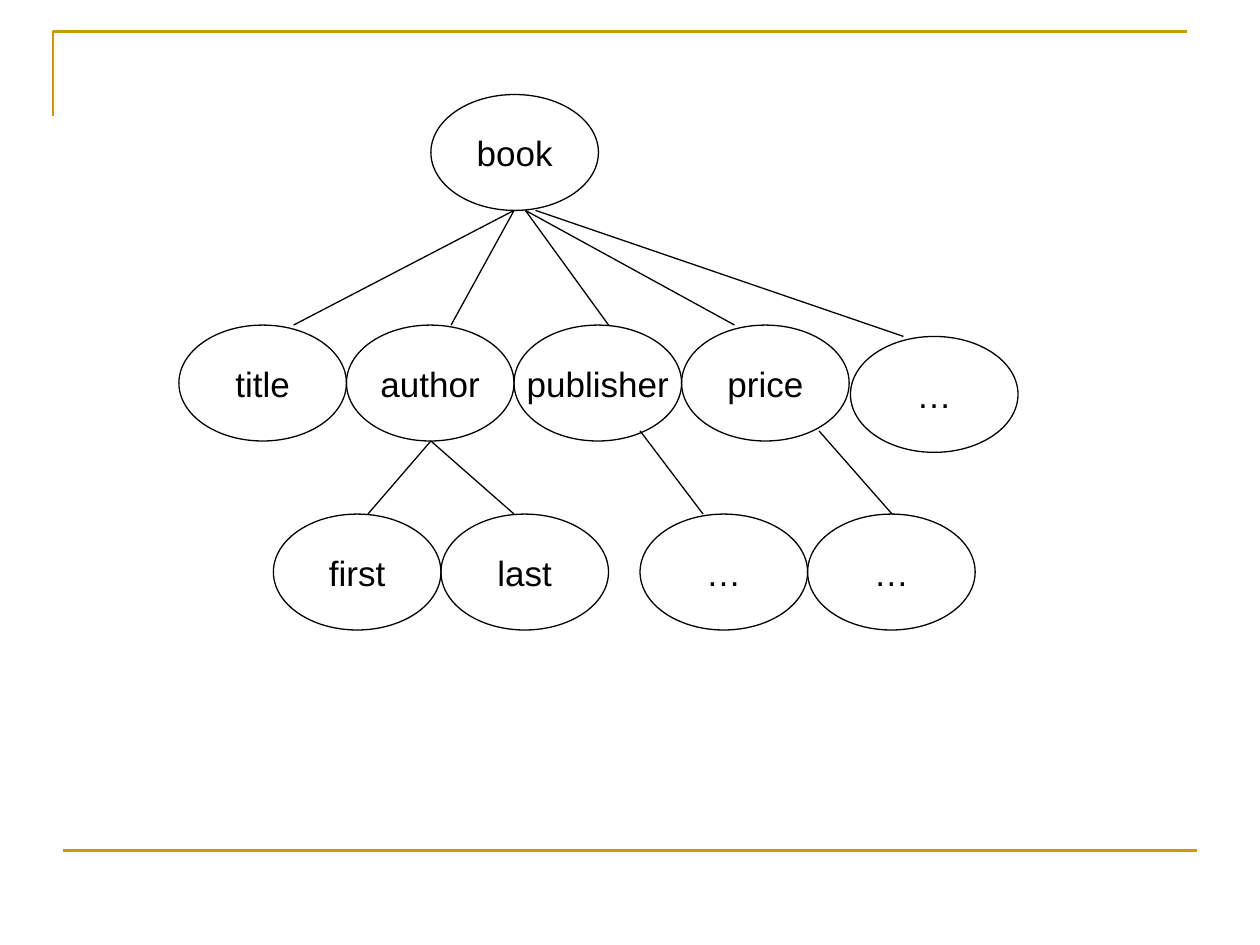
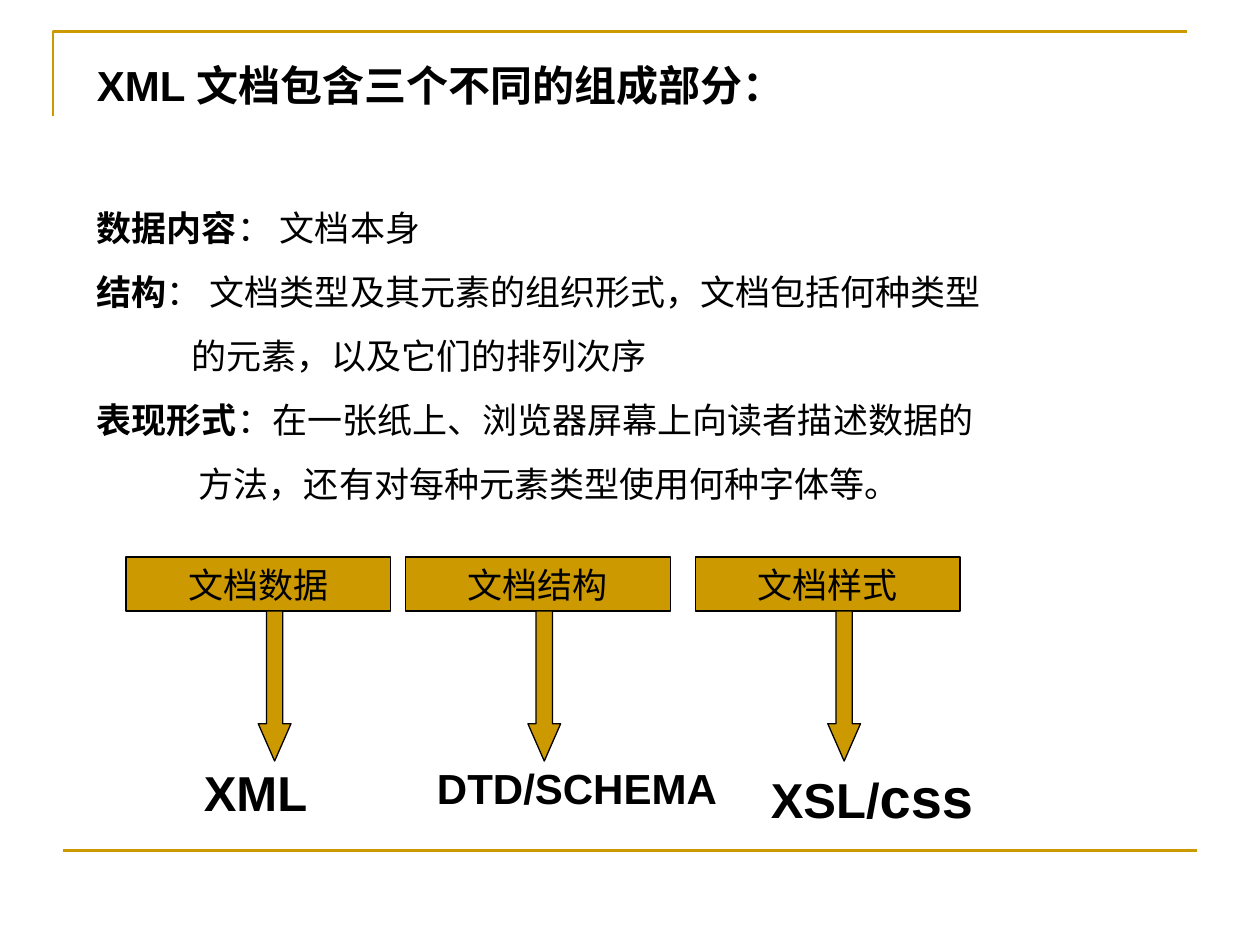
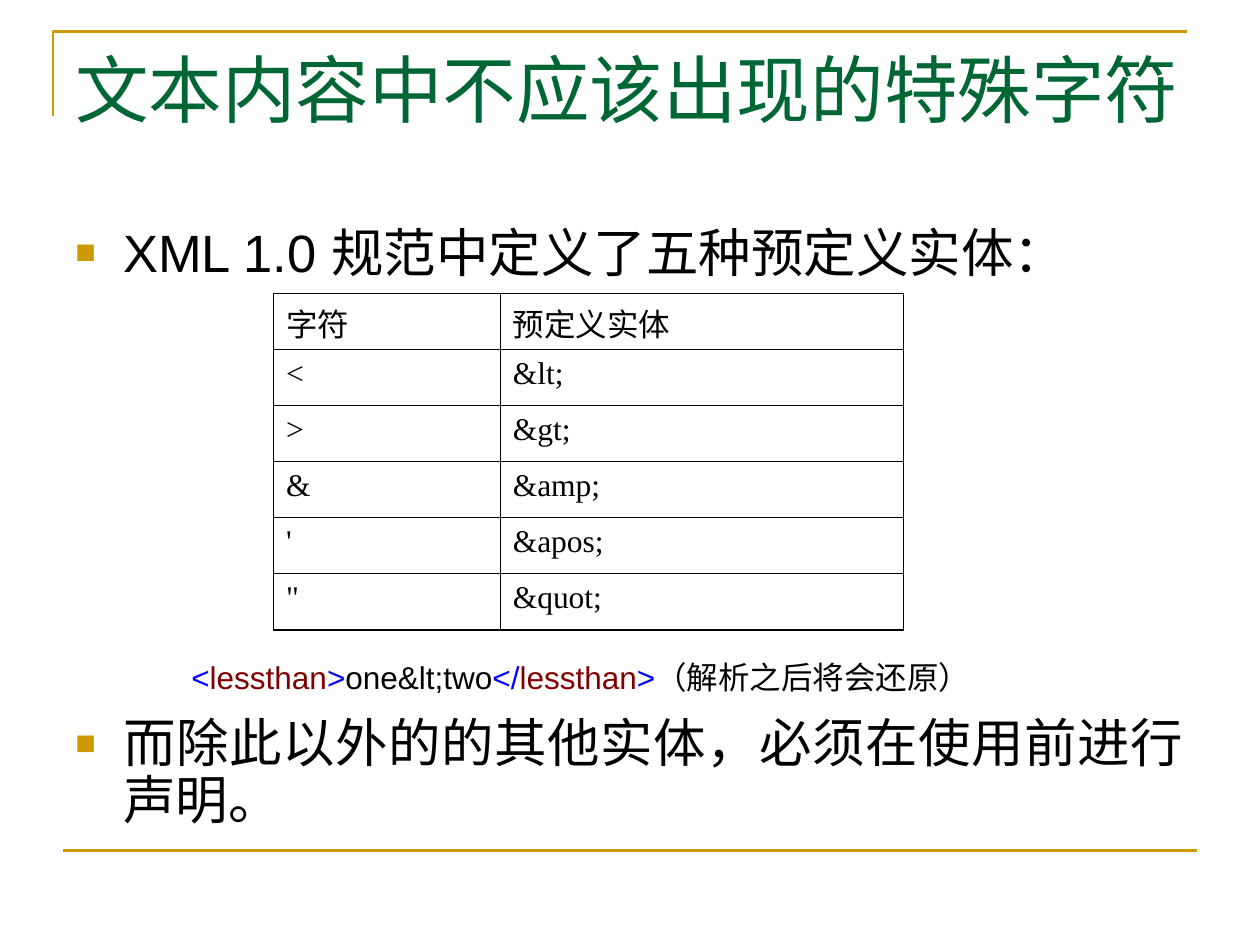
from dataclasses import dataclass
from typing import Optional

from lxml import etree
from pptx import Presentation
from pptx.dml.color import RGBColor
from pptx.enum import shapes, text
from pptx.oxml import ns
from pptx.util import Emu, Inches, Pt

GOLD = RGBColor(0xCC, 0x99, 0x00)
BLACK = RGBColor(0, 0, 0)
GREEN = RGBColor(0x00, 0x66, 0x33)
BLUE = RGBColor(0, 0, 0xFF)
MAROON = RGBColor(0x80, 0, 0)
SANS = "Arial"
SERIF = "Times New Roman"
HAIRLINE = 0.75

NODE_W, NODE_H = 1.33, 0.92
BOX_W, BOX_H = 2.1, 0.43
BOX_TOP = 4.42


@dataclass(frozen=True)
class Span:
    words: str
    size: float
    color: RGBColor = BLACK
    bold: bool = False
    font: str = SANS


@dataclass(frozen=True)
class Para:
    spans: tuple[Span, ...]
    before: float = 0
    indent: float = 0


@dataclass(frozen=True)
class Node:
    label: str
    left: float
    top: float


@dataclass(frozen=True)
class Link:
    start: tuple[float, float]
    end: tuple[float, float]


@dataclass(frozen=True)
class Part:
    label: str
    left: float
    arrow_left: float
    format_left: float
    format_width: float
    format_spans: tuple[Span, ...]


def style_run(run, span: Span) -> None:
    run.font.name = span.font
    run.font.size = Pt(span.size)
    run.font.bold = span.bold
    run.font.color.rgb = span.color


def fill_paragraph(paragraph, para: Para) -> None:
    for span in para.spans:
        run = paragraph.add_run()
        run.text = span.words
        style_run(run, span)
    if para.before:
        paragraph.space_before = Pt(para.before)
    if para.indent:
        paragraph._p.get_or_add_pPr().set("marL", str(Inches(para.indent)))


def add_text(slide, left: float, top: float, width: float, height: float,
             paras: tuple[Para, ...]):
    frame = slide.shapes.add_textbox(
        Inches(left), Inches(top), Inches(width), Inches(height)).text_frame
    frame.word_wrap = True
    for index, para in enumerate(paras):
        paragraph = frame.add_paragraph() if index else frame.paragraphs[0]
        fill_paragraph(paragraph, para)
    return frame


def add_line(slide, link: Link, color: RGBColor = BLACK, weight: float = HAIRLINE) -> None:
    line = slide.shapes.add_connector(
        shapes.MSO_CONNECTOR.STRAIGHT, *(Inches(v) for v in link.start + link.end))
    line.line.color.rgb = color
    line.line.width = Pt(weight)
    etree.SubElement(line._element.spPr, ns.qn("a:effectLst"))


def add_figure(slide, kind, left: float, top: float, width: float, height: float,
               fill: Optional[RGBColor] = None, label: str = ""):
    figure = slide.shapes.add_shape(
        kind, Inches(left), Inches(top), Inches(width), Inches(height))
    figure.shadow.inherit = False
    if fill is None:
        figure.fill.background()
    else:
        figure.fill.solid()
        figure.fill.fore_color.rgb = fill
    figure.line.color.rgb = BLACK
    figure.line.width = Pt(HAIRLINE)
    if label:
        frame = figure.text_frame
        frame.text = label
        frame.word_wrap = False
        frame.vertical_anchor = text.MSO_ANCHOR.MIDDLE
        frame.paragraphs[0].alignment = text.PP_ALIGN.CENTER
        style_run(frame.paragraphs[0].runs[0], Span(label, 20))
    return figure


def add_framed_slide(deck):
    slide = deck.slides.add_slide(deck.slide_layouts[6])
    outline = slide.shapes.build_freeform(Inches(0.42), Inches(0.92), scale=1.0)
    outline.add_line_segments(
        [(Inches(0.42), Inches(0.25)), (Inches(9.42), Inches(0.25))], close=False)
    corner = outline.convert_to_shape()
    corner.shadow.inherit = False
    corner.fill.background()
    corner.line.color.rgb = GOLD
    corner.line.width = Pt(1.5)
    add_line(slide, Link((0.5, 6.75), (9.5, 6.75)), GOLD, 1.5)
    return slide


def add_tree_slide(deck) -> None:
    slide = add_framed_slide(deck)
    children = [Node(label, 1.42 + i * NODE_W, 2.58)
                for i, label in enumerate(("title", "author", "publisher", "price"))]
    grandchildren = [Node(label, start + i * NODE_W, 4.08)
                     for start, pair in ((2.17, ("first", "last")), (5.08, ("…", "…")))
                     for i, label in enumerate(pair)]
    for node in (Node("book", 3.42, 0.75), *children, Node("…", 6.75, 2.67), *grandchildren):
        add_figure(slide, shapes.MSO_SHAPE.OVAL, node.left, node.top, NODE_W, NODE_H,
                   label=node.label)
    for link in (
        Link((4.08, 1.67), (2.33, 2.58)),
        Link((4.08, 1.67), (3.58, 2.58)),
        Link((4.17, 1.67), (4.83, 2.58)),
        Link((4.17, 1.67), (5.83, 2.58)),
        Link((4.25, 1.67), (7.17, 2.67)),
        Link((3.42, 3.5), (2.92, 4.08)),
        Link((3.42, 3.5), (4.08, 4.08)),
        Link((5.08, 3.42), (5.58, 4.08)),
        Link((6.5, 3.42), (7.08, 4.08)),
    ):
        add_line(slide, link)


def add_parts_slide(deck) -> None:
    slide = add_framed_slide(deck)
    parts = (
        Part("文档数据", 1, 2.05, 1.52, 1.93, (Span("XML", 28, bold=True),)),
        Part("文档结构", 3.22, 4.19, 3.37, 2.63, (Span("DTD/SCHEMA", 24, bold=True),)),
        Part("文档样式", 5.52, 6.57, 6.02, 1.93,
             (Span("XSL/", 28, bold=True), Span("css", 32, bold=True))),
    )
    for part in parts:
        add_figure(slide, shapes.MSO_SHAPE.RECTANGLE, part.left, BOX_TOP, BOX_W, BOX_H,
                   GOLD, part.label)
        arrow = add_figure(slide, shapes.MSO_SHAPE.DOWN_ARROW, part.arrow_left,
                           BOX_TOP + BOX_H, 0.26, 1.19, GOLD)
        arrow.adjustments[0] = 0.5
        arrow.adjustments[1] = 1.14
        add_text(slide, part.format_left, 6, part.format_width, 0.57,
                 (Para(part.format_spans),))

    def term(name: str, meaning: str, before: float = 12.5) -> Para:
        return Para((Span(name, 20, bold=True), Span(meaning, 20)), before)

    def continuation(words: str, indent: float) -> Para:
        return Para((Span(words, 20),), 12.5, indent)

    add_text(slide, 0.67, 0.42, 7.33, 4.15, (
        Para((Span("XML 文档包含三个不同的组成部分：", 24, bold=True),)),
        term("数据内容", "： 文档本身", 55.5),
        term("结构", "： 文档类型及其元素的组织形式，文档包括何种类型"),
        continuation("的元素，以及它们的排列次序", 0.75),
        term("表现形式", "：在一张纸上、浏览器屏幕上向读者描述数据的"),
        continuation("方法，还有对每种元素类型使用何种字体等。", 0.81),
    ))


def add_bullet(paragraph) -> None:
    props = paragraph._p.get_or_add_pPr()
    props.set("marL", str(Inches(0.38)))
    props.set("indent", str(-Inches(0.38)))
    color = etree.SubElement(props, ns.qn("a:buClr"))
    etree.SubElement(color, ns.qn("a:srgbClr"), val=str(GOLD))
    etree.SubElement(props, ns.qn("a:buSzPct"), val="65000")
    etree.SubElement(props, ns.qn("a:buFont"), typeface=SANS)
    etree.SubElement(props, ns.qn("a:buChar"), char="■")


def set_borders(cell, weights: dict[str, float]) -> None:
    props = cell._tc.get_or_add_tcPr()
    for index, (side, weight) in enumerate(weights.items()):
        border = etree.Element(ns.qn(f"a:{side}"), w=str(Pt(weight)))
        paint = etree.SubElement(border, ns.qn("a:solidFill"))
        etree.SubElement(paint, ns.qn("a:srgbClr"), val=str(BLACK))
        props.insert(index, border)


def add_entity_table(slide) -> None:
    rows = (("字符", "预定义实体"), ("<", "&lt;"), (">", "&gt;"),
            ("&", "&amp;"), ("'", "&apos;"), ('"', "&quot;"))
    height = Inches(2.67)
    entities = slide.shapes.add_table(
        len(rows), 2, Inches(2.17), Inches(2.33), Inches(5), height).table
    entities.first_row = False
    entities.horz_banding = False
    entities.columns[0].width = Inches(1.8)
    entities.columns[1].width = Inches(3.2)
    for r, values in enumerate(rows):
        entities.rows[r].height = Emu(height // len(rows))
        for c, value in enumerate(values):
            cell = entities.cell(r, c)
            cell.fill.background()
            cell.text_frame.text = value
            style_run(cell.text_frame.paragraphs[0].runs[0], Span(value, 18, font=SERIF))
            set_borders(cell, {
                "lnL": 0.45 if c else 0.34,
                "lnR": 0.34 if c else 0.45,
                "lnT": 0.45 if r else 0.96,
                "lnB": 0.96 if r == len(rows) - 1 else 0.45,
            })


def add_entities_slide(deck) -> None:
    slide = add_framed_slide(deck)
    add_text(slide, 0.5, 0.3, 9, 1.25,
             (Para((Span("文本内容中不应该出现的特殊字符", 42, GREEN, font=SERIF),)),))
    rules = add_text(slide, 0.5, 1.75, 9, 4.95, (
        Para((Span("XML 1.0 规范中定义了五种预定义实体：", 30),)),
        Para((Span("而除此以外的的其他实体，必须在使用前进行声明。", 30),), 248),
    ))
    for paragraph in rules.paragraphs:
        add_bullet(paragraph)
        paragraph.alignment = text.PP_ALIGN.JUSTIFY
        paragraph.line_spacing = 0.9
    add_entity_table(slide)
    sample = (("<", BLUE), ("lessthan", MAROON), (">", BLUE), ("one&lt;two", BLACK),
              ("</", BLUE), ("lessthan", MAROON), (">", BLUE), ("（解析之后将会还原）", BLACK))
    add_text(slide, 1.42, 5.17, 6.83, 0.4,
             (Para(tuple(Span(words, 18, color) for words, color in sample)),))


def main() -> None:
    deck = Presentation()
    deck.slide_width = Inches(10)
    deck.slide_height = Inches(7.5)
    add_tree_slide(deck)
    add_parts_slide(deck)
    add_entities_slide(deck)
    deck.save("out.pptx")


if __name__ == "__main__":
    main()
